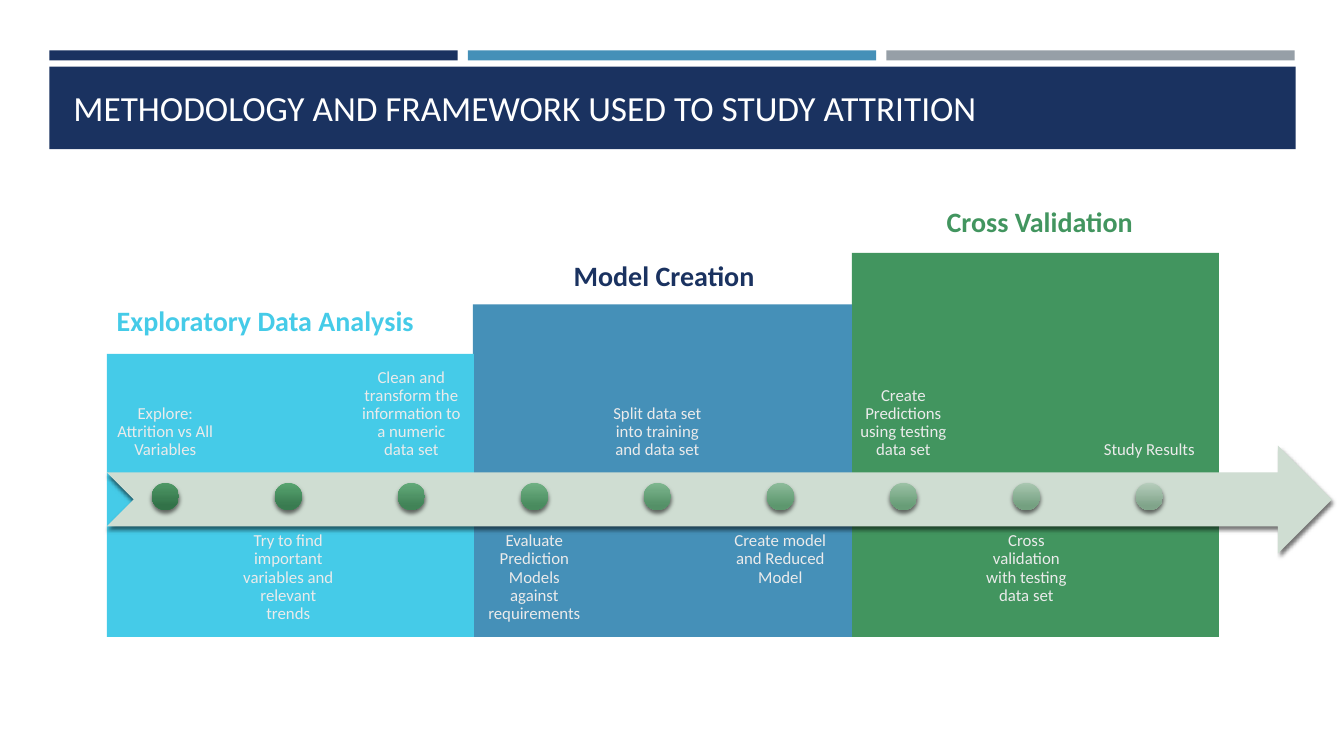
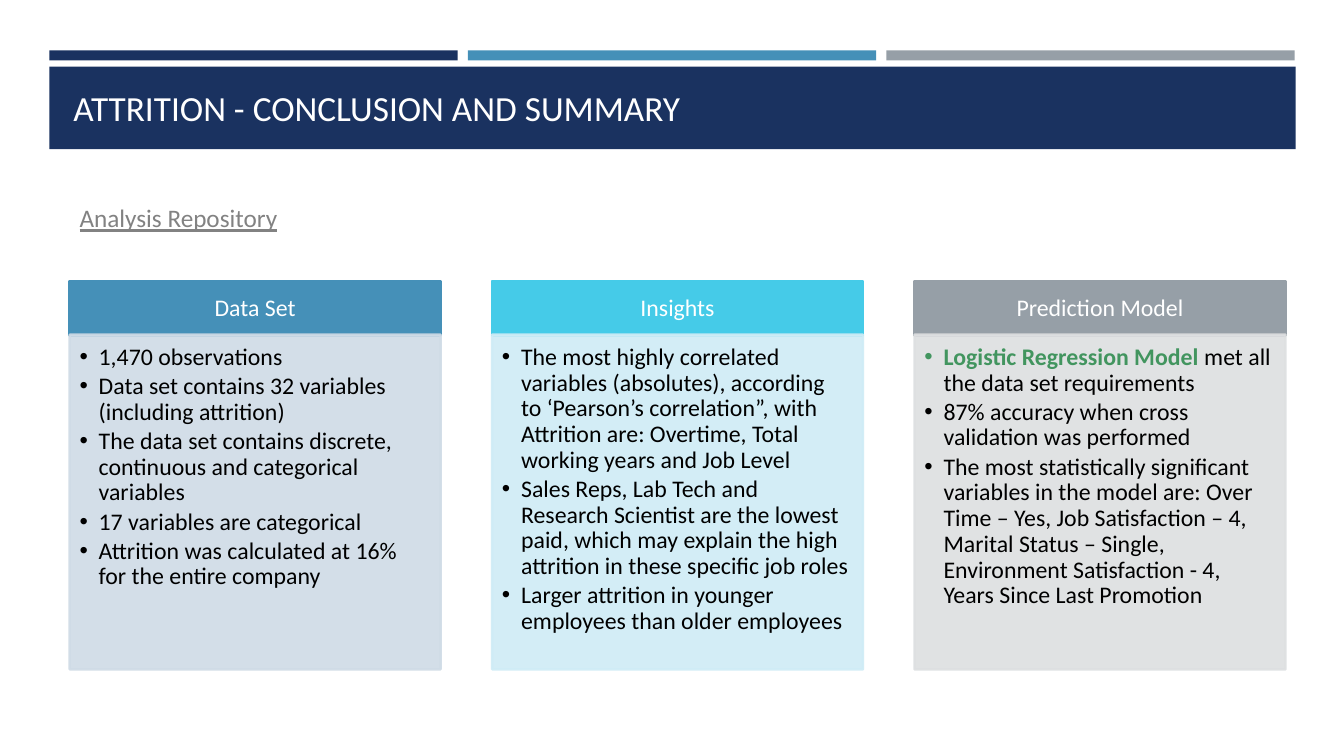
from lxml import etree
from pptx import Presentation
from pptx.dml.color import RGBColor
from pptx.enum import shapes, text
from pptx.oxml import ns
from pptx.util import Inches, Pt

NAVY = RGBColor(0x1A, 0x32, 0x60)
BLUE = RGBColor(0x45, 0x90, 0xB8)
GRAY = RGBColor(0x96, 0x9F, 0xA7)
CYAN = RGBColor(0x45, 0xCB, 0xE8)
GREEN = RGBColor(0x42, 0x95, 0x5F)
WHITE = RGBColor(0xFF, 0xFF, 0xFF)
BLACK = RGBColor(0x00, 0x00, 0x00)
PALE_TEXT = RGBColor(0xEB, 0xEB, 0xEB)
LINK_GRAY = RGBColor(0x82, 0x82, 0x82)
ARROW_GREEN = RGBColor(0xCF, 0xDD, 0xD2)
PALE_BLUE = RGBColor(0xCF, 0xDB, 0xE6)
PALE_CYAN = RGBColor(0xCF, 0xEC, 0xF6)
PALE_GRAY = RGBColor(0xDD, 0xDF, 0xE1)

FONT = "Calibri"
TOP, MIDDLE, BOTTOM = text.MSO_ANCHOR.TOP, text.MSO_ANCHOR.MIDDLE, text.MSO_ANCHOR.BOTTOM
LEFT, CENTER = text.PP_ALIGN.LEFT, text.PP_ALIGN.CENTER
RECT = shapes.MSO_SHAPE.RECTANGLE

PHASES = [
    ("Cross Validation", GREEN, GREEN, (8.45, 2.51, 3.64), (9.29, 1.98, 2.29)),
    ("Model Creation", BLUE, NAVY, (4.69, 3.02, 3.76), (5.59, 2.52, 2.25)),
    ("Exploratory Data Analysis", CYAN, CYAN, (1.06, 3.51, 3.64), (1.06, 2.96, 3.6)),
]
PHASE_BOTTOM = 6.32

STEPS = [
    ("Explore: Attrition vs All Variables", "4F9967", "327248"),
    ("Try to find important variables and relevant trends", "57A470", "397B50"),
    ("Clean and transform the information to a numeric data set", "63AA7A", "418357"),
    ("Evaluate Prediction Models against requirements", "70B184", "498B5E"),
    ("Split data set into training and data set", "7EB78F", "549067"),
    ("Create model and Reduced Model", "8CBB9A", "5D976E"),
    ("Create Predictions using testing data set", "9BC1A5", "689D77"),
    ("Cross validation with testing data set", "A9C7B1", "74A080"),
    ("Study Results", "B6CDBC", "80A48A"),
]
STEP_LEFT, STEP_PITCH, STEP_WIDTH, DOT_SIZE = 1.06, 1.22, 1.16, 0.27

CARDS = [
    ("Data Set", BLUE, PALE_BLUE, [
        ("", "1,470 observations"),
        ("", "Data set contains 32 variables (including attrition)"),
        ("", "The data set contains discrete, continuous and categorical variables"),
        ("", "17 variables are categorical"),
        ("", "Attrition was calculated at 16% for the entire company"),
    ]),
    ("Insights", CYAN, PALE_CYAN, [
        ("", "The most highly correlated variables (absolutes), according to ‘Pearson’s "
             "correlation”, with Attrition are: Overtime, Total working years and Job Level"),
        ("", "Sales Reps, Lab Tech and Research Scientist are the lowest paid, which may "
             "explain the high attrition in these specific job roles"),
        ("", "Larger attrition in younger employees than older employees"),
    ]),
    ("Prediction Model", GRAY, PALE_GRAY, [
        ("Logistic Regression Model", " met all the data set requirements"),
        ("", "87% accuracy when cross validation was performed"),
        ("", "The most statistically significant variables in the model are: Over Time – Yes, "
             "Job Satisfaction – 4, Marital Status – Single, Environment Satisfaction - 4, "
             "Years Since Last Promotion"),
    ]),
]
CARD_LEFT, CARD_PITCH, CARD_WIDTH = 0.69, 4.19, 3.68


def add_block(page, kind, area, color, outlined=False):
    block = page.shapes.add_shape(kind, *map(Inches, area))
    block.shadow.inherit = False
    block.fill.solid()
    block.fill.fore_color.rgb = color
    if outlined:
        block.line.color.rgb = color
        block.line.width = Pt(1.75)
    else:
        block.line.fill.background()
    return block


def set_frame(box, anchor, insets):
    frame = box.text_frame
    frame.word_wrap = True
    frame.vertical_anchor = anchor
    (frame.margin_left, frame.margin_top,
     frame.margin_right, frame.margin_bottom) = map(Inches, insets)
    return frame


def style_font(font, size, color, bold=False):
    font.name = FONT
    font.size = Pt(size)
    font.bold = bold
    font.color.rgb = color


def write_line(box, words, size, color, anchor=TOP, align=LEFT,
               insets=(0.1, 0.05, 0.1, 0.05), bold=False, spacing=1.0):
    frame = set_frame(box, anchor, insets)
    frame.text = words
    para = frame.paragraphs[0]
    para.alignment = align
    para.line_spacing = spacing
    span = para.runs[0]
    style_font(span.font, size, color, bold)
    return span


def add_label(page, area, words, size, color, **style):
    box = page.shapes.add_textbox(*map(Inches, area))
    return write_line(box, words, size, color, **style)


def add_shadow(shape):
    effects = shape._element.spPr.find(ns.qn("a:effectLst"))
    shadow = etree.SubElement(effects, ns.qn("a:outerShdw"), blurRad=str(Pt(3)),
                              dist=str(Pt(2)), dir="5400000", rotWithShape="0")
    tint = etree.SubElement(shadow, ns.qn("a:srgbClr"), val="000000")
    etree.SubElement(tint, ns.qn("a:alpha"), val="55000")


def make_translucent(shape, percent):
    for tint in shape._element.spPr.iter(ns.qn("a:srgbClr")):
        etree.SubElement(tint, ns.qn("a:alpha"), val=str(percent * 1000))


def add_bullet(para):
    props = para._p.get_or_add_pPr()
    props.set("marL", str(Inches(0.19)))
    props.set("indent", str(Inches(-0.19)))
    etree.SubElement(props, ns.qn("a:buFont"), typeface="Arial")
    etree.SubElement(props, ns.qn("a:buChar"), char="•")


def add_page(deck, title):
    page = deck.slides.add_slide(deck.slide_layouts[6])
    for index, color in enumerate((NAVY, BLUE, GRAY)):
        add_block(page, RECT, (0.49 + 4.15 * index, 0.5, 4.05, 0.1), color)
    add_block(page, RECT, (0.49, 0.66, 12.36, 0.82), NAVY)
    add_label(page, (0.63, 0.8, 12.06, 0.52), title, 25.2, WHITE, anchor=BOTTOM)
    return page


def add_phase(page, name, color, name_color, block_place, name_place):
    left, top, width = block_place
    add_block(page, RECT, (left, top, width, PHASE_BOTTOM - top), color)
    add_label(page, (*name_place, 0.44), name, 20, name_color, bold=True)


def add_step(page, index, words, light, dark):
    left = STEP_LEFT + STEP_PITCH * index
    above = index % 2 == 0
    add_label(page, (left, 3.58 if above else 5.19, STEP_WIDTH, 1.07), words, 12, PALE_TEXT,
              anchor=BOTTOM if above else TOP, align=CENTER, insets=(0.09,) * 4, spacing=0.9)
    dot_left = left + (STEP_WIDTH - DOT_SIZE) / 2
    dot = add_block(page, shapes.MSO_SHAPE.OVAL, (dot_left, 4.79, DOT_SIZE, DOT_SIZE), GREEN)
    dot.fill.gradient()
    dot.fill.gradient_angle = 270
    for stop, color, position in zip(dot.fill.gradient_stops, (light, dark), (0, 0.84)):
        stop.color.rgb = RGBColor.from_string(color)
        stop.position = position
    add_shadow(dot)


def add_card(page, index, heading, color, pale, items):
    left = CARD_LEFT + CARD_PITCH * index
    header = add_block(page, RECT, (left, 2.79, CARD_WIDTH, 0.54), color, outlined=True)
    write_line(header, heading, 17, WHITE, anchor=MIDDLE, align=CENTER,
               insets=(0.13, 0.08, 0.13, 0.08), spacing=0.9)
    body = add_block(page, RECT, (left, 3.32, CARD_WIDTH, 3.32), pale, outlined=True)
    make_translucent(body, 90)
    frame = set_frame(body, TOP, (0.1, 0.1, 0.13, 0.15))
    for number, (lead, rest) in enumerate(items):
        para = frame.add_paragraph() if number else frame.paragraphs[0]
        para.alignment = LEFT
        para.line_spacing = 0.9
        para.space_after = Pt(2.5)
        add_bullet(para)
        for words, tint, bold in ((lead, GREEN, True), (rest, BLACK, False)):
            if words:
                span = para.add_run()
                span.text = words
                style_font(span.font, 17, tint, bold)


def build_methodology(deck):
    page = add_page(deck, "METHODOLOGY AND FRAMEWORK USED TO STUDY ATTRITION")
    for phase in PHASES:
        add_phase(page, *phase)
    arrow = add_block(page, shapes.MSO_SHAPE.NOTCHED_RIGHT_ARROW,
                      (1.06, 4.42, 12.15, 1.07), ARROW_GREEN)
    add_shadow(arrow)
    for index, step in enumerate(STEPS):
        add_step(page, index, *step)


def build_conclusion(deck):
    page = add_page(deck, "ATTRITION - CONCLUSION AND SUMMARY")
    for index, card in enumerate(CARDS):
        add_card(page, index, *card)
    link = add_label(page, (0.69, 1.96, 2.22, 0.4), "Analysis Repository", 18, LINK_GRAY)
    link.font.underline = True


def main():
    deck = Presentation()
    deck.slide_width, deck.slide_height = Inches(13.33), Inches(7.5)
    build_methodology(deck)
    build_conclusion(deck)
    deck.save("out.pptx")


if __name__ == "__main__":
    main()
